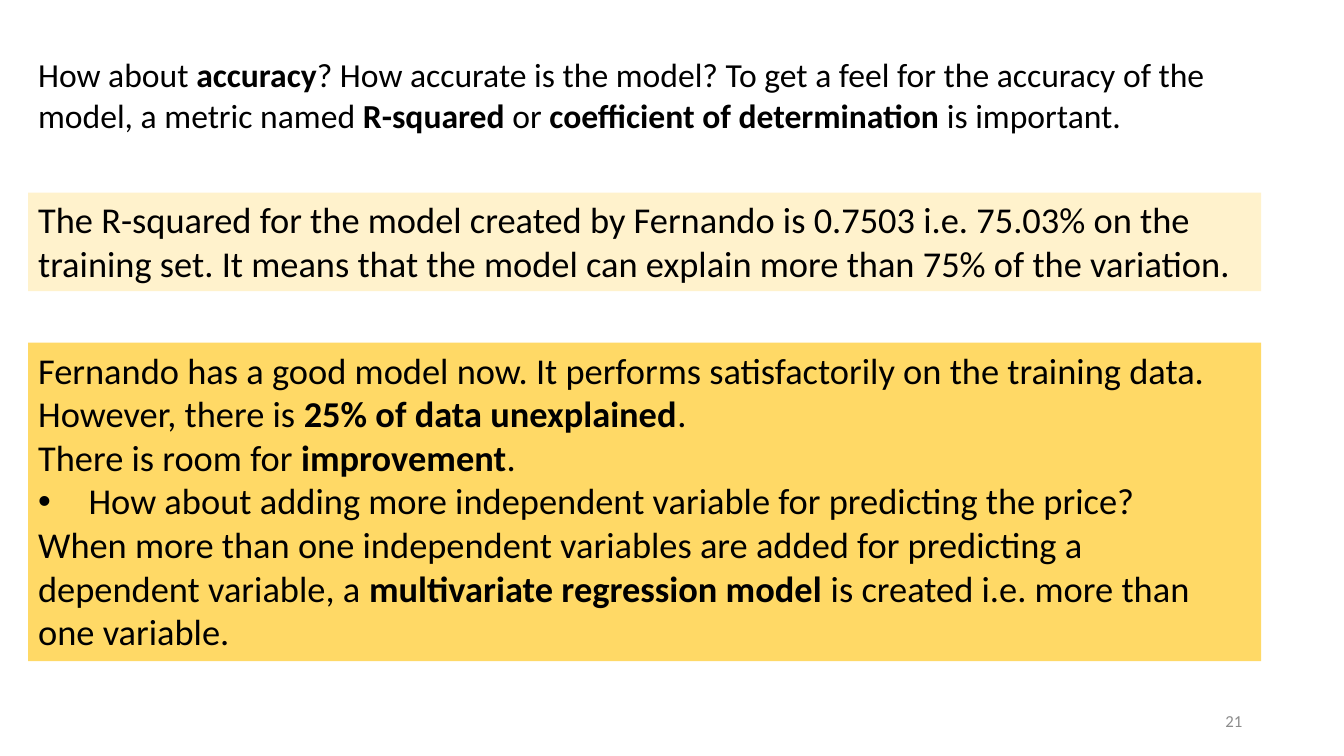
from dataclasses import dataclass
from typing import Optional

from lxml import etree
from pptx import Presentation
from pptx import util as u
from pptx.dml.color import RGBColor
from pptx.enum import shapes, text
from pptx.oxml import ns

PX = 9144
BLACK = RGBColor(0x00, 0x00, 0x00)
GREY = RGBColor(0x8C, 0x8C, 0x8C)
CREAM = RGBColor(0xFF, 0xF2, 0xCC)
GOLD = RGBColor(0xFF, 0xD9, 0x66)
LEFT, WIDTH = 28, 1223
BULLET = "• "
INDENT = 50


@dataclass
class Box:
    top: int
    height: int
    size: int
    paragraphs: list[str]
    fill: Optional[RGBColor] = None
    left: int = LEFT
    width: int = WIDTH
    color: RGBColor = BLACK
    align: text.PP_ALIGN = text.PP_ALIGN.LEFT
    anchor: text.MSO_ANCHOR = text.MSO_ANCHOR.TOP


BOXES = [
    Box(49, 91, 24, [
        "How about **accuracy**? How accurate is the model? To get a feel for the "
        "accuracy of the model, a metric named **R-squared **or "
        "**coefficient of determination **is important.",
    ]),
    Box(191, 98, 26, [
        "The R-squared for the model created by Fernando is 0.7503 i.e. 75.03% on the "
        "training set. It means that the model can explain more than 75% of the variation.",
    ], fill=CREAM),
    Box(340, 316, 26, [
        "Fernando has a good model now. It performs satisfactorily on the training data.",
        "However, there is **25% of data unexplained**.",
        "There is room for **improvement**.",
        BULLET + "How about adding more independent variable for predicting the price?",
        "When more than one independent variables are added for predicting a dependent "
        "variable, a **multivariate regression model **is created i.e. more than one variable.",
    ], fill=GOLD),
    Box(695, 40, 12, ["21"], left=942, width=300, color=GREY,
        align=text.PP_ALIGN.RIGHT, anchor=text.MSO_ANCHOR.MIDDLE),
]


def add_bullet(p) -> None:
    pPr = p._p.get_or_add_pPr()
    pPr.set("marL", str(INDENT * PX))
    pPr.set("indent", str(-INDENT * PX))
    etree.SubElement(pPr, ns.qn("a:buFont")).set("typeface", "Arial")
    etree.SubElement(pPr, ns.qn("a:buChar")).set("char", BULLET.strip())


def write(p, content: str, *, size: int, color: RGBColor, align: text.PP_ALIGN) -> None:
    p.alignment = align
    if content.startswith(BULLET):
        add_bullet(p)
        content = content.removeprefix(BULLET)
    for i, part in enumerate(content.split("**")):
        r = p.add_run()
        r.text = part
        r.font.name = "Calibri"
        r.font.size = u.Pt(size)
        r.font.bold = i % 2 == 1
        r.font.color.rgb = color


def add_box(s, box: Box) -> None:
    at = [u.Emu(n * PX) for n in (box.left, box.top, box.width, box.height)]
    if box.fill is None:
        sp = s.shapes.add_textbox(*at)
    else:
        sp = s.shapes.add_shape(shapes.MSO_SHAPE.RECTANGLE, *at)
        sp.shadow.inherit = False
        sp.fill.solid()
        sp.fill.fore_color.rgb = box.fill
        sp.line.fill.background()
    tf = sp.text_frame
    tf.word_wrap = True
    tf.vertical_anchor = box.anchor
    for i, content in enumerate(box.paragraphs):
        p = tf.add_paragraph() if i else tf.paragraphs[0]
        write(p, content, size=box.size, color=box.color, align=box.align)


def main() -> None:
    prs = Presentation()
    prs.slide_width, prs.slide_height = u.Emu(1333 * PX), u.Emu(750 * PX)
    s = prs.slides.add_slide(prs.slide_layouts[6])
    for box in BOXES:
        add_box(s, box)
    prs.save("out.pptx")


if __name__ == "__main__":
    main()
